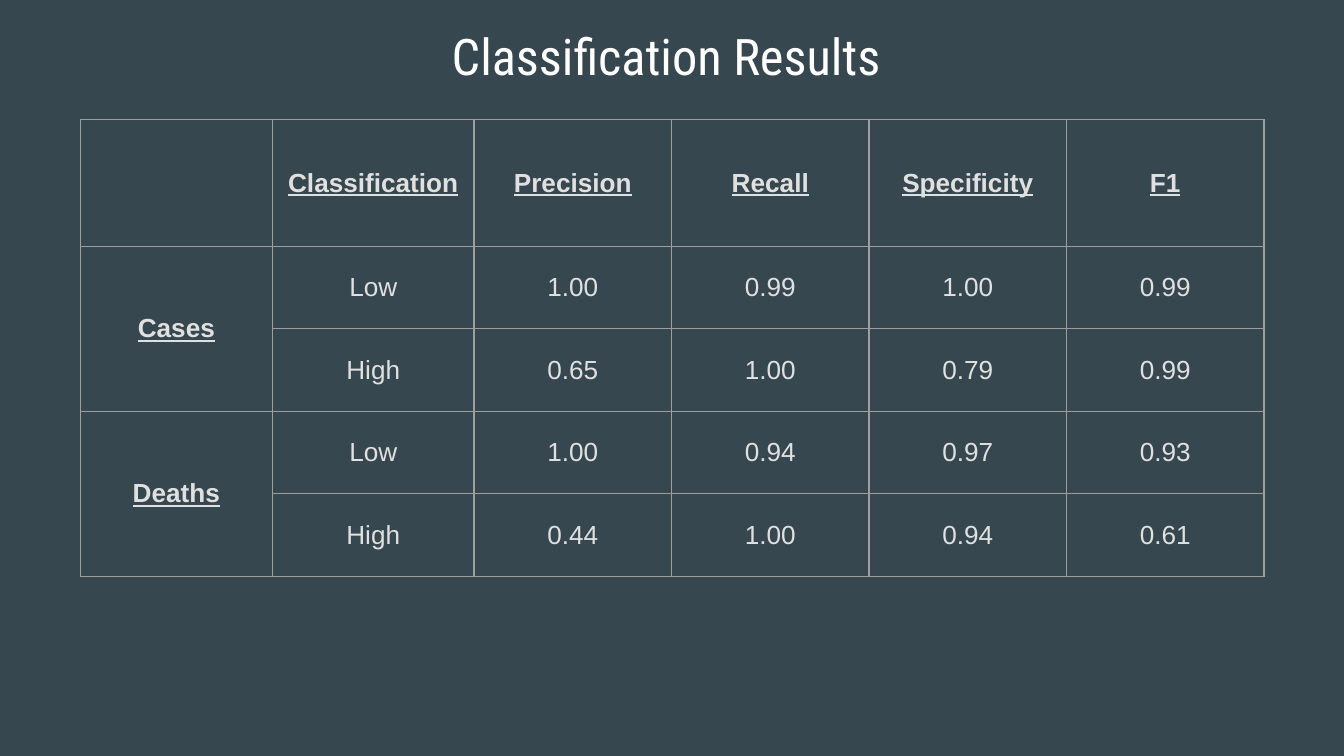
from typing import Any, NamedTuple

from lxml import etree
from pptx import Presentation
from pptx.dml import color
from pptx.enum import text
from pptx.oxml import ns
from pptx.util import Pt


class Metric(NamedTuple):
    heading: str
    width: float


class Outcome(NamedTuple):
    group: str
    level: str
    scores: tuple[str, ...]


METRICS = [
    Metric("", 103),
    Metric("Classification", 108),
    *(Metric(name, 105.8) for name in ("Precision", "Recall", "Specificity", "F1")),
]
OUTCOMES = [
    Outcome("Cases", "Low", ("1.00", "0.99", "1.00", "0.99")),
    Outcome("", "High", ("0.65", "1.00", "0.79", "0.99")),
    Outcome("Deaths", "Low", ("1.00", "0.94", "0.97", "0.93")),
    Outcome("", "High", ("0.44", "1.00", "0.94", "0.61")),
]
HEADER_HEIGHT, OUTCOME_HEIGHT = 68, 44.2
LEVELS_PER_GROUP = 2
BACKGROUND, TITLE_COLOR, CELL_COLOR, BORDER_COLOR = "37474F", "FFFFFF", "E0E0E0", "9E9E9E"
BORDER_WIDTH = 0.75
INSETS = {f"margin_{side}": Pt(7.2) for side in ("left", "top", "right", "bottom")}


def rgb(value: str) -> color.RGBColor:
    return color.RGBColor.from_string(value)


def apply(target: Any, formats: dict[str, Any]) -> None:
    for name, value in formats.items():
        setattr(target, name, value)


def write(frame: Any, wording: str, ink: str, formats: dict[str, Any]) -> None:
    paragraph = frame.paragraphs[0]
    paragraph.alignment = text.PP_ALIGN.CENTER
    run = paragraph.add_run()
    run.text = wording
    apply(run.font, formats)
    run.font.color.rgb = rgb(ink)


def add_borders(cell: Any) -> None:
    properties = cell._tc.get_or_add_tcPr()
    for edge in ("lnL", "lnR", "lnT", "lnB"):
        line = etree.SubElement(properties, ns.qn(f"a:{edge}"), w=str(Pt(BORDER_WIDTH)))
        fill = etree.SubElement(line, ns.qn("a:solidFill"))
        etree.SubElement(fill, ns.qn("a:srgbClr"), val=BORDER_COLOR)


def draw_cell(cell: Any, wording: str, heading: bool) -> None:
    add_borders(cell)
    cell.fill.background()
    apply(cell, {**INSETS, "vertical_anchor": text.MSO_ANCHOR.MIDDLE})
    if wording:
        formats = {"name": "Arial", "size": Pt(14), "bold": heading, "underline": heading}
        write(cell.text_frame, wording, CELL_COLOR, formats)


def draw_title(title: Any, wording: str) -> None:
    apply(title, {"left": Pt(24.5), "top": Pt(6.5), "width": Pt(671), "height": Pt(45.4)})
    frame_formats = {
        **INSETS,
        "word_wrap": True,
        "auto_size": text.MSO_AUTO_SIZE.NONE,
        "vertical_anchor": text.MSO_ANCHOR.TOP,
    }
    apply(title.text_frame, frame_formats)
    formats = {"name": "Roboto Condensed", "size": Pt(27), "bold": False}
    write(title.text_frame, wording, TITLE_COLOR, formats)


def draw_results(slide: Any) -> None:
    rows = [tuple(metric.heading for metric in METRICS)]
    rows += [(outcome.group, outcome.level, *outcome.scores) for outcome in OUTCOMES]
    heights = [HEADER_HEIGHT] + [OUTCOME_HEIGHT] * len(OUTCOMES)
    width = sum(metric.width for metric in METRICS)
    results = slide.shapes.add_table(
        len(rows), len(METRICS), Pt(43), Pt(64), Pt(width), Pt(sum(heights))
    ).table
    apply(results, {"first_row": False, "horz_banding": False})
    for column, metric in zip(results.columns, METRICS):
        column.width = Pt(metric.width)
    for row, height in zip(results.rows, heights):
        row.height = Pt(height)
    for first in range(1, len(rows), LEVELS_PER_GROUP):
        results.cell(first, 0).merge(results.cell(first + LEVELS_PER_GROUP - 1, 0))
    for i, row in enumerate(rows):
        for j, wording in enumerate(row):
            draw_cell(results.cell(i, j), wording, heading=i == 0 or j == 0)


def main() -> None:
    deck = Presentation()
    apply(deck, {"slide_width": Pt(720), "slide_height": Pt(405)})
    slide = deck.slides.add_slide(deck.slide_layouts[5])
    slide.background.fill.solid()
    slide.background.fill.fore_color.rgb = rgb(BACKGROUND)
    draw_title(slide.shapes.title, "Classification Results ")
    draw_results(slide)
    deck.save("out.pptx")


if __name__ == "__main__":
    main()
